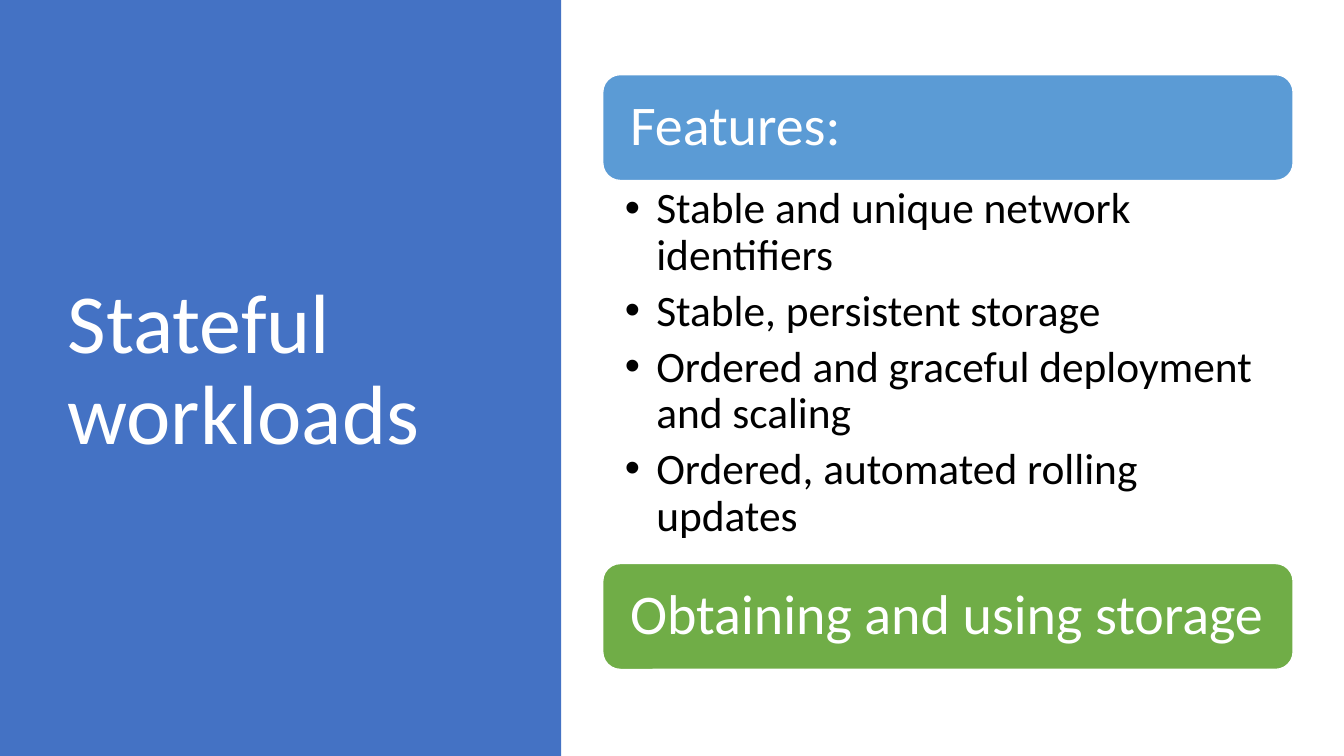
from pptx import Presentation
from pptx.dml.color import RGBColor
from pptx.enum.shapes import MSO_SHAPE as Shape
from pptx.enum.text import MSO_ANCHOR as Anchor, MSO_AUTO_SIZE as AutoSize, PP_ALIGN as Align
from pptx.oxml.ns import qn
from pptx.util import Cm, Pt
from lxml.etree import SubElement

TITLE = "Stateful workloads"
SECTIONS = [
    ("Features:", "light_blue", [
        "Stable and unique network identifiers",
        "Stable, persistent storage",
        "Ordered and graceful deployment and scaling",
        "Ordered, automated rolling updates",
    ]),
    ("Obtaining and using storage", "green", []),
]
COLORS = {"panel": "4472C4", "light_blue": "5B9BD5", "green": "70AD47",
          "white": "FFFFFF", "black": "000000"}
FONT = "Calibri"

# Lengths in cm
SLIDE_W, SLIDE_H = 33.87, 19.05
PANEL_W = 14.14
LEFT, TOP, WIDTH = 15.19, 1.88, 17.4
HEADER_H, LIST_H = 2.67, 9.65
INDENT = 0.79


def rgb(name):
    return RGBColor.from_string(COLORS[name])


def set_frame(tf, anchor, left, top, right, bottom):
    values = {"word_wrap": True, "auto_size": AutoSize.NONE, "vertical_anchor": anchor,
              "margin_left": Cm(left), "margin_top": Cm(top),
              "margin_right": Cm(right), "margin_bottom": Cm(bottom)}
    for name, value in values.items():
        setattr(tf, name, value)


def write(p, text, size, color, after=0):
    p.text = text
    values = {"alignment": Align.LEFT, "line_spacing": 0.9,
              "space_before": Pt(0), "space_after": Pt(after)}
    for name, value in values.items():
        setattr(p, name, value)
    font = p.runs[0].font
    font.name, font.size = FONT, Pt(size)
    font.color.rgb = rgb(color)


def add_block(s, kind, left, top, width, height, fill, line=None):
    sp = s.shapes.add_shape(kind, Cm(left), Cm(top), Cm(width), Cm(height))
    sp.shadow.inherit = False
    sp.fill.solid()
    sp.fill.fore_color.rgb = rgb(fill)
    if line:
        sp.line.color.rgb = rgb(line)
        sp.line.width = Pt(1)
    else:
        sp.line.fill.background()
    return sp


def add_bullets(s, items, top):
    sp = s.shapes.add_textbox(Cm(LEFT), Cm(top), Cm(WIDTH), Cm(LIST_H))
    tf = sp.text_frame
    set_frame(tf, Anchor.TOP, 0.56, 0.15, 0.79, 0.15)
    for i, item in enumerate(items):
        p = tf.add_paragraph() if i else tf.paragraphs[0]
        p.level = 1
        write(p, item, 31, "black", after=6.2)
        pPr = p._p.get_or_add_pPr()
        pPr.set("marL", str(Cm(INDENT)))
        pPr.set("indent", str(-Cm(INDENT)))
        SubElement(pPr, qn("a:buFont")).set("typeface", "Arial")
        SubElement(pPr, qn("a:buChar")).set("char", "•")


def main():
    prs = Presentation()
    prs.slide_width, prs.slide_height = Cm(SLIDE_W), Cm(SLIDE_H)
    s = prs.slides.add_slide(prs.slide_layouts[5])

    panel = add_block(s, Shape.RECTANGLE, 0, 0, PANEL_W, SLIDE_H, "panel")
    title = s.shapes.title
    panel._element.addnext(title._element)  # bring the title in front of the panel
    title.left, title.top, title.width, title.height = Cm(1.45), Cm(1.73), Cm(10.57), Cm(15.29)
    set_frame(title.text_frame, Anchor.MIDDLE, 0.25, 0.13, 0.25, 0.13)
    write(title.text_frame.paragraphs[0], TITLE, 60, "white")

    top = TOP
    for heading, color, items in SECTIONS:
        header = add_block(s, Shape.ROUNDED_RECTANGLE, LEFT, top, WIDTH, HEADER_H, color, "white")
        set_frame(header.text_frame, Anchor.MIDDLE, 0.56, 0.56, 0.56, 0.56)
        write(header.text_frame.paragraphs[0], heading, 40, "white")
        top += HEADER_H
        if items:
            add_bullets(s, items, top)
            top += LIST_H

    prs.save("out.pptx")


if __name__ == "__main__":
    main()
